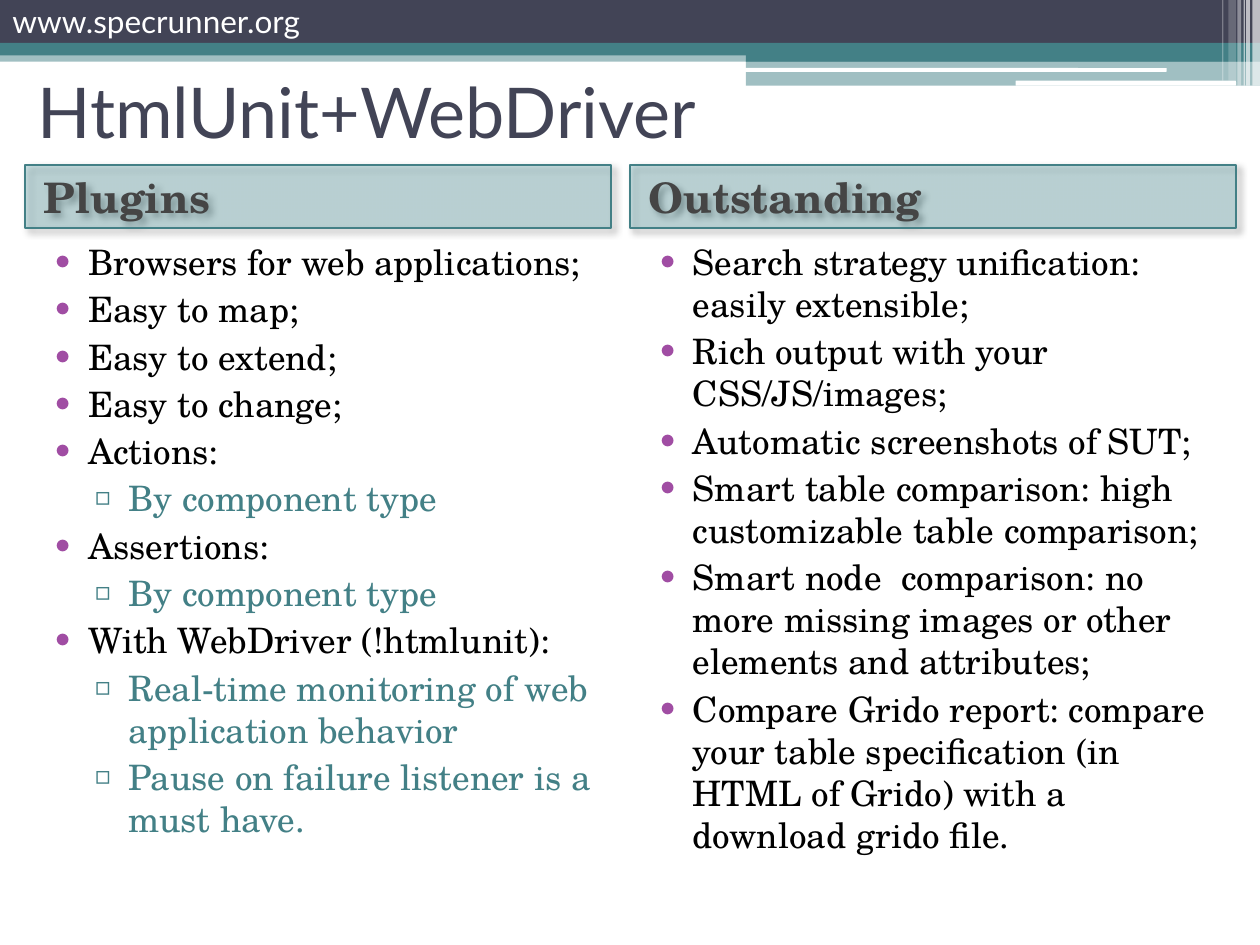
from lxml.etree import SubElement
from pptx import Presentation
from pptx.dml.color import RGBColor
from pptx.enum.shapes import MSO_SHAPE
from pptx.enum.text import MSO_ANCHOR, MSO_AUTO_SIZE, PP_ALIGN
from pptx.oxml import parse_xml
from pptx.oxml.ns import nsdecls, qn
from pptx.util import Inches, Pt

COLORS = {
    "navy": "424456",
    "teal": "438086",
    "header": "328E97",
    "header_text": "454545",
    "purple": "A04DA3",
    "white": "FFFFFF",
    "black": "000000",
}
SANS, SERIF = "Lato", "TeX Gyre Schola"

# left, top, width, height, colour, opacity in percent
BANDS = [
    (0, 0.4, 10, 0.09, "teal", 50),
    (0, 0, 10, 0.34, "navy", 100),
    (0, 0.34, 10, 0.1, "teal", 100),
    (5.92, 0.39, 4.08, 0.1, "teal", 100),
    (5.92, 0.48, 4.08, 0.2, "teal", 50),
]
ROUNDED_LINES = [(5.91, 0.54, 3.35, 0.03), (8.06, 0.64, 1.75, 0.04)]
# left, width, height, opacity in percent
STRIPES = [
    (9.94, 0.06, 0.68, 65),
    (9.89, 0.03, 0.68, 65),
    (9.87, 0.01, 0.68, 60),
    (9.82, 0.03, 0.68, 40),
    (9.75, 0.06, 0.64, 20),
    (9.7, 0.01, 0.64, 30),
]
# left, width, heading, items as (level, text)
COLUMNS = [
    (0.2, 4.65, "Plugins", [
        (0, "Browsers for web applications;"),
        (0, "Easy to map;"),
        (0, "Easy to extend;"),
        (0, "Easy to change;"),
        (0, "Actions:"),
        (1, "By component type"),
        (0, "Assertions:"),
        (1, "By component type"),
        (0, "With WebDriver (!htmlunit):"),
        (1, "Real-time monitoring of web application behavior"),
        (1, "Pause on failure listener is a must have."),
    ]),
    (5, 4.81, "Outstanding", [
        (0, "Search strategy unification: easily extensible;"),
        (0, "Rich output with your CSS/JS/images;"),
        (0, "Automatic screenshots of SUT;"),
        (0, "Smart table comparison: high customizable table comparison;"),
        (0, "Smart node  comparison: no more missing images or other "
            "elements and attributes;"),
        (0, "Compare Grido report: compare your table specification "
            "(in HTML of Grido) with a download grido file."),
    ]),
]
# margin, indent, bullet, bullet colour, text colour
LEVELS = [
    (0.4, -0.28, "•", "purple", "black"),
    (0.72, -0.27, "▫", "teal", "teal"),
]


def rgb(name):
    return RGBColor.from_string(COLORS[name])


def add_block(page, left, top, width, height, color, opacity=100,
              kind=MSO_SHAPE.RECTANGLE):
    box = page.shapes.add_shape(kind, Inches(left), Inches(top),
                                Inches(width), Inches(height))
    box.shadow.inherit = False
    box.line.fill.background()
    box.fill.solid()
    box.fill.fore_color.rgb = rgb(color)
    if opacity < 100:
        fill_color = box.fill._xPr.find(qn("a:solidFill"))[0]
        SubElement(fill_color, qn("a:alpha"), val=str(opacity * 1000))
    return box


def add_span(para, text, size, font, color, bold=False):
    span = para.add_run()
    span.text = text
    span.font.size = Pt(size)
    span.font.name = font
    span.font.bold = bold
    span.font.color.rgb = rgb(color)


def write_line(box, text, size, font, color, bold=False):
    """Write one left-aligned, vertically centred paragraph."""
    frame = box.text_frame
    frame.word_wrap = True
    frame.auto_size = MSO_AUTO_SIZE.NONE
    frame.vertical_anchor = MSO_ANCHOR.MIDDLE
    para = frame.paragraphs[0]
    para.alignment = PP_ALIGN.LEFT
    add_span(para, text, size, font, color, bold)
    return para


def set_indent(para, margin, indent=0):
    properties = para._p.get_or_add_pPr()
    properties.set("marL", str(Inches(margin)))
    properties.set("indent", str(Inches(indent)))
    return properties


def add_shadow(box):
    properties = box._element.spPr
    properties.remove(properties.find(qn("a:effectLst")))
    properties.append(parse_xml(
        f'<a:effectLst {nsdecls("a")}>'
        f'<a:outerShdw blurRad="{Pt(4)}" dist="{Pt(3)}" dir="2700000" '
        f'algn="tl" rotWithShape="0"><a:srgbClr val="{COLORS["black"]}">'
        '<a:alpha val="40000"/></a:srgbClr></a:outerShdw></a:effectLst>'))


def add_heading(page, left, width, text):
    box = add_block(page, left, 1.31, width, 0.5, "header", 25)
    box.line.color.rgb = rgb("teal")
    box.line.width = Pt(1)
    add_shadow(box)
    para = write_line(box, text, 24, SERIF, "header_text", bold=True)
    para.space_before = Pt(3)
    set_indent(para, 0.05)


def add_bullets(page, left, width, items):
    box = page.shapes.add_textbox(Inches(left), Inches(1.86),
                                  Inches(width), Inches(5.35))
    frame = box.text_frame
    frame.word_wrap = True
    for number, (level, text) in enumerate(items):
        para = frame.add_paragraph() if number else frame.paragraphs[0]
        margin, indent, bullet, bullet_color, text_color = LEVELS[level]
        para.level = level
        para.space_before = Pt(3)
        properties = set_indent(para, margin, indent)
        color = SubElement(properties, qn("a:buClr"))
        SubElement(color, qn("a:srgbClr"), val=COLORS[bullet_color])
        SubElement(properties, qn("a:buFont"), typeface=SERIF)
        SubElement(properties, qn("a:buChar"), char=bullet)
        add_span(para, text, 20, SERIF, text_color)


def add_banner(page):
    bands = [add_block(page, *band) for band in BANDS]
    write_line(bands[1], "www.specrunner.org", 18, SANS, "white")
    for line in ROUNDED_LINES:
        add_block(page, *line, "white", kind=MSO_SHAPE.ROUNDED_RECTANGLE)
    for left, width, height, opacity in STRIPES:
        add_block(page, left, 0, width, height, "white", opacity)


def place_title(page, text):
    title = page.shapes.title
    title.left, title.top = Inches(0.2), Inches(0.44)
    title.width, title.height = Inches(9.61), Inches(0.87)
    write_line(title, text, 40, SANS, "navy")


def main():
    deck = Presentation()
    deck.slide_width, deck.slide_height = Inches(10), Inches(7.5)
    page = deck.slides.add_slide(deck.slide_layouts[5])
    add_banner(page)
    place_title(page, "HtmlUnit+WebDriver")
    for left, width, heading, items in COLUMNS:
        add_heading(page, left, width, heading)
        add_bullets(page, left, width, items)
    deck.save("out.pptx")


if __name__ == "__main__":
    main()
